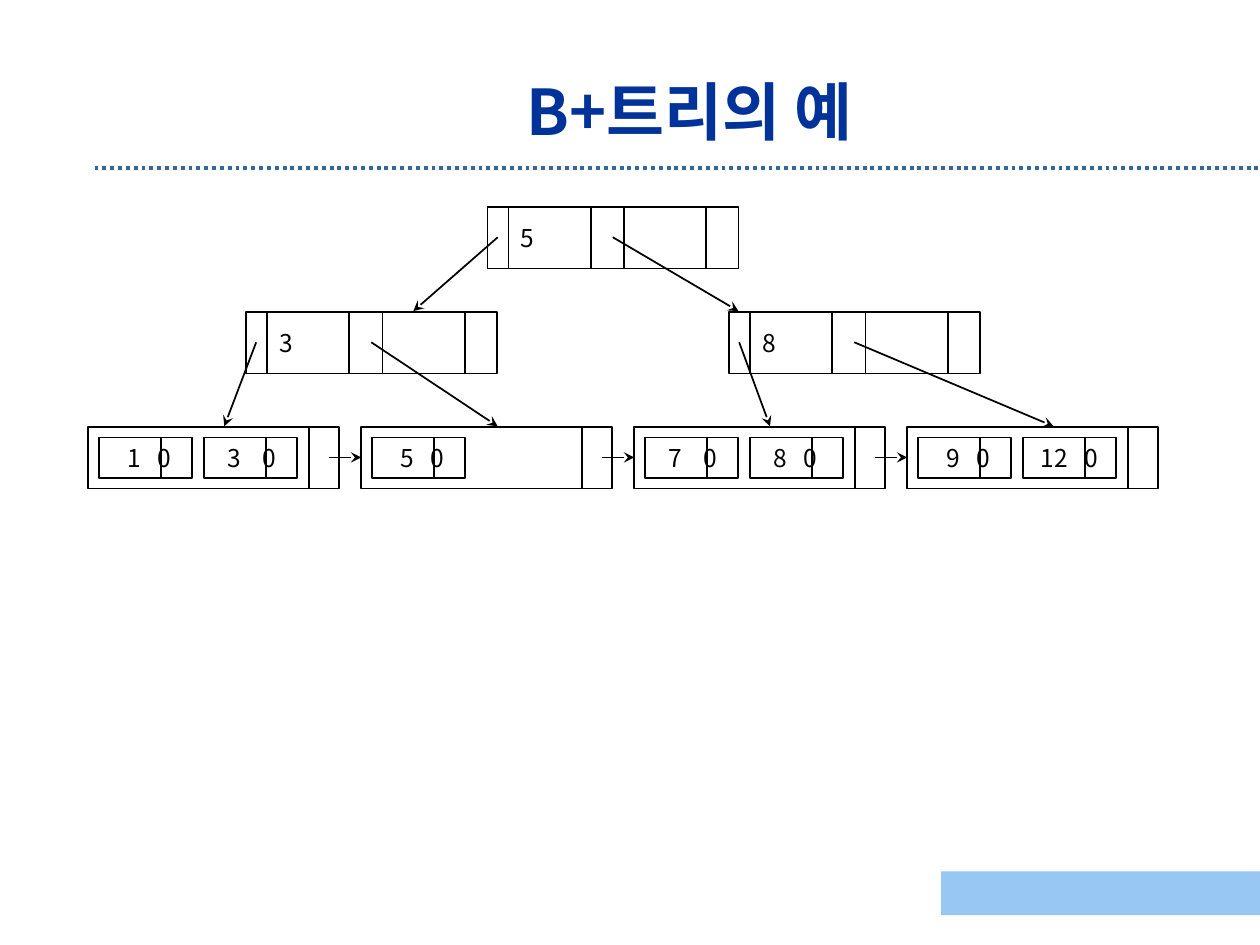
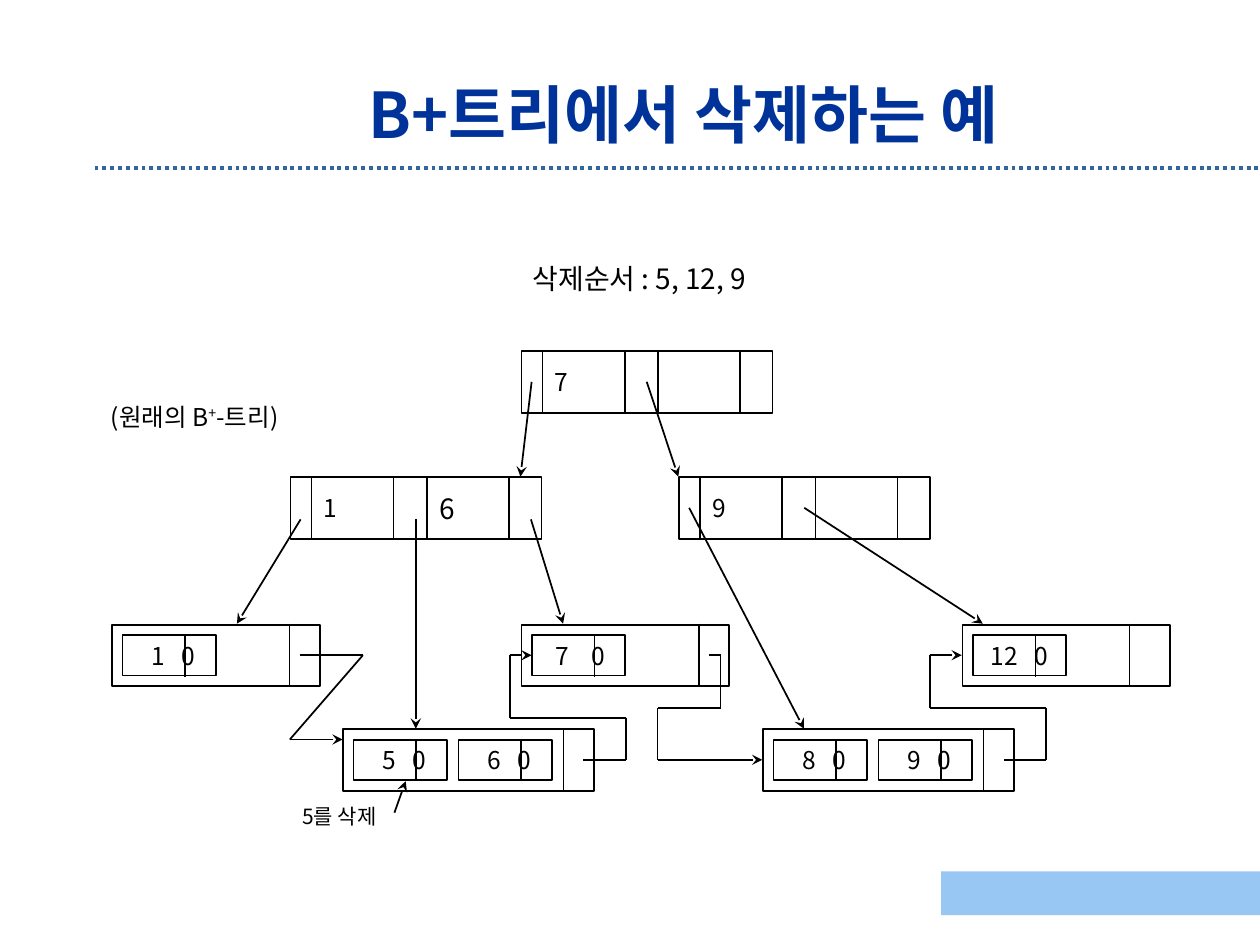
"""Build two slides that show B+ trees and a deletion."""
from dataclasses import dataclass

from lxml import etree
from pptx import Presentation
from pptx.dml.color import RGBColor
from pptx.enum.dml import MSO_LINE
from pptx.enum.shapes import MSO_CONNECTOR, MSO_SHAPE
from pptx.enum.text import MSO_ANCHOR, PP_ALIGN
from pptx.oxml.ns import qn
from pptx.shapes.autoshape import Shape
from pptx.slide import Slide
from pptx.util import Pt

RECT = MSO_SHAPE.RECTANGLE
LINE = MSO_CONNECTOR.STRAIGHT
DOTS = MSO_LINE.ROUND_DOT
LEFT, CENTER = PP_ALIGN.LEFT, PP_ALIGN.CENTER
TOP, MIDDLE = MSO_ANCHOR.TOP, MSO_ANCHOR.MIDDLE

Point = tuple[float, float]
Box = tuple[float, float, float, float]


@dataclass(frozen=True)
class Theme:
    """Colours, font and type sizes of both slides."""

    font: str = "Noto Sans CJK KR"
    ink: str = "000000"
    paper: str = "FFFFFF"
    title: str = "003399"
    rule: str = "336699"
    band: str = "99C7F3"
    head: float = 36
    large: float = 16
    body: float = 14
    small: float = 12


THEME = Theme()
WIDE, TALL = 143.4, 35.2
SHORT = 118.8
DIGIT, SPACE = 7.77, 3.13
PAD = 7.2


@dataclass(frozen=True)
class Node:
    """An index node with two keys and the tips of its arrows."""

    x: float
    y: float
    keys: tuple[str, str]
    tips: tuple[Point, ...]
    drop: float = 17.4
    sizes: tuple[float, float] = (THEME.body, THEME.body)


@dataclass(frozen=True)
class Entry:
    """A leaf entry, with its lead and gap counted in spaces."""

    key: str
    lead: int = 3
    gap: int = 3


@dataclass(frozen=True)
class Leaf:
    """A leaf node with its entries and the width of its pointer."""

    x: float
    y: float
    items: tuple[Entry, ...]
    width: float = WIDE
    tail: float = 17.4


@dataclass(frozen=True)
class Label:
    """A plain text label."""

    text: str
    box: Box
    size: float
    sup: str = ""


def write(shape: Shape, text: str, *, size: float = THEME.body,
          color: str = THEME.ink, bold: bool = False, sup: str = "",
          align: PP_ALIGN = LEFT, anchor: MSO_ANCHOR = MIDDLE,
          pads: Box = (PAD, 3.6, PAD, 3.6), tab: float = 0,
          lead: float = 0) -> None:
    """Put formatted text in a shape."""
    frame = shape.text_frame
    frame.word_wrap = True
    frame.vertical_anchor = anchor
    (frame.margin_left, frame.margin_top,
     frame.margin_right, frame.margin_bottom) = map(Pt, pads)
    para = frame.paragraphs[0]
    para.alignment = align
    if lead:
        para.line_spacing = lead
    if tab:
        stops = etree.SubElement(para._p.get_or_add_pPr(), qn("a:tabLst"))
        etree.SubElement(stops, qn("a:tab"), pos=str(Pt(tab)), algn="l")
    for part in text.partition(sup) if sup else (text,):
        run = para.add_run()
        run.text = part
        font = run.font
        font.name, font.size, font.bold = THEME.font, Pt(size), bold
        font.color.rgb = RGBColor.from_string(color)
        props = run._r.get_or_add_rPr()
        etree.SubElement(props, qn("a:ea"), typeface=THEME.font)
        if sup and part == sup:
            props.set("baseline", "30000")


def draw_box(slide: Slide, box: Box, fill: str = THEME.paper,
             edge: str = THEME.ink) -> Shape:
    """Draw a filled rectangle, with an edge if a colour is given."""
    shape = slide.shapes.add_shape(RECT, *map(Pt, box))
    shape.shadow.inherit = False
    shape.fill.solid()
    shape.fill.fore_color.rgb = RGBColor.from_string(fill)
    if edge:
        shape.line.color.rgb = RGBColor.from_string(edge)
        shape.line.width = Pt(1)
    else:
        shape.line.fill.background()
    return shape


def draw_line(slide: Slide, start: Point, end: Point, *, arrow: bool = False,
              color: str = THEME.ink, width: float = 1,
              dots: bool = False) -> None:
    """Draw a straight line, with an arrowhead at its end if asked."""
    line = slide.shapes.add_connector(LINE, *map(Pt, start + end))
    line.line.color.rgb = RGBColor.from_string(color)
    line.line.width = Pt(width)
    if dots:
        line.line.dash_style = DOTS
    if arrow:
        etree.SubElement(line.line._get_or_add_ln(), qn("a:tailEnd"),
                         type="stealth")
    etree.SubElement(line._element.spPr, qn("a:effectLst"))


def draw_route(slide: Slide, *stops: Point) -> None:
    """Join the stops by lines and end in an arrow."""
    for spot, (start, end) in enumerate(zip(stops, stops[1:]), 2):
        draw_line(slide, start, end, arrow=spot == len(stops))


def draw_text(slide: Slide, text: str, box: Box, **style) -> None:
    """Add a text box."""
    write(slide.shapes.add_textbox(*map(Pt, box)), text, **style)


def draw_node(slide: Slide, node: Node) -> None:
    """Draw an index node and its keys."""
    draw_box(slide, (node.x, node.y, WIDE, TALL))
    for spot, (key, size) in enumerate(zip(node.keys, node.sizes)):
        cell = draw_box(slide, (node.x + 12 + 66 * spot, node.y, 47, TALL))
        if key:
            write(cell, key, size=size)


def draw_leaf(slide: Slide, leaf: Leaf) -> None:
    """Draw a leaf, its entries and its dividers."""
    draw_box(slide, (leaf.x, leaf.y, leaf.width, TALL))
    for spot, item in enumerate(leaf.items):
        x, y = leaf.x + 6 + 60 * spot, leaf.y + 6
        cell = draw_box(slide, (x, y, 53.4, 23))
        inset = PAD + SPACE * item.lead
        write(cell, f"{item.key}\t0", pads=(inset, 3.6, 0, 3.6),
              tab=DIGIT * len(item.key) + SPACE * item.gap)
        draw_line(slide, (x + 35.8, y), (x + 35.8, y + 23.6))
    edge = leaf.x + leaf.width - leaf.tail
    draw_line(slide, (edge, leaf.y - 0.6), (edge, leaf.y + TALL))


def draw_tree(slide: Slide, nodes: list[Node], leaves: list[Leaf]) -> None:
    """Draw all nodes and leaves, then the arrows between them."""
    for node in nodes:
        draw_node(slide, node)
    for leaf in leaves:
        draw_leaf(slide, leaf)
    for node in nodes:
        for spot, tip in enumerate(node.tips):
            start = (node.x + 5.8 + 65.8 * spot, node.y + node.drop)
            draw_line(slide, start, tip, arrow=True)


def add_page(deck: Presentation, title: str, box: Box,
             lead: float = 0) -> Slide:
    """Add a slide with its rule, band and title."""
    slide = deck.slides.add_slide(deck.slide_layouts[6])
    draw_line(slide, (54, 96), (720, 96), color=THEME.rule, width=2.25,
              dots=True)
    draw_box(slide, (537.8, 498, 182.2, 25), THEME.band, "")
    draw_text(slide, title, box, size=THEME.head, color=THEME.title,
              bold=True, align=CENTER, lead=lead)
    return slide


def show_tree(deck: Presentation) -> None:
    """Build the slide with the sample tree."""
    slide = add_page(deck, "B+트리의 예", (163.4, 33.8, 461.5, 45.4), 1.3)
    nodes = [
        Node(278.6, 118.2, ("5", ""), ((236.2, 177.8), (422, 177.8))),
        Node(140.6, 178.2, ("3", ""), ((128.2, 243.6), (284.4, 243.6))),
        Node(416.6, 178.2, ("8", ""), ((440, 243.6), (602, 243.6))),
    ]
    rows = [
        (Entry("1"), Entry("3", 2, 4)),
        (Entry("5"),),
        (Entry("7", 2, 4), Entry("8", 2)),
        (Entry("9"), Entry("12", 1)),
    ]
    leaves = [Leaf(50.4 + 156 * spot, 244, row)
              for spot, row in enumerate(rows)]
    draw_tree(slide, nodes, leaves)
    for leaf, after in zip(leaves, leaves[1:]):
        draw_route(slide, (leaf.x + 137.6, 261.4), (after.x, 261.4))


def show_cut(deck: Presentation) -> None:
    """Build the slide with the tree before the deletion."""
    slide = add_page(deck, "B+트리에서 삭제하는 예", (134.6, 39.6, 512, 50.4))
    high, low = 357, 416.8
    nodes = [
        Node(298, 200.8, ("7", ""), ((297.4, 272.4), (387.6, 272.4))),
        Node(166, 272.8, ("1", "6"),
             ((135.4, 356.4), (237.6, 416.4), (321.8, 356.4)), 24,
             (THEME.body, THEME.large)),
        Node(388, 272.8, ("9", ""), ((459.4, 416.4), (561.6, 356.4))),
    ]
    leaves = [
        Leaf(64, high, (Entry("1"),), SHORT),
        Leaf(196, low, (Entry("5"), Entry("6"))),
        Leaf(298, high, (Entry("7", 2, 4),), SHORT),
        Leaf(436, low, (Entry("8"), Entry("9"))),
        Leaf(550, high, (Entry("12", 1),), SHORT, 23.4),
    ]
    draw_tree(slide, nodes, leaves)
    top, base = 374.4, 434.2
    draw_route(slide, (171.4, top), (207.4, top), (165.6, 422.6),
               (195.8, 422.6))
    for start, turn, mid, back, end, rise, fall in (
        (333.4, 357.8, 410.4, 291.6, 303.8, base, top),
        (405.4, 411.8, 404.6, 375.8, 435.6, top, base),
        (573.8, 597.6, 404.6, 531.4, 549.6, base, top),
    ):
        draw_route(slide, (start, rise), (turn, rise), (turn, mid),
                   (back, mid), (back, fall), (end, fall))
    draw_route(slide, (225.4, 464.4), (231.8, 446.4))
    for label in (
        Label("(원래의 B+-트리)", (56.2, 226, 116.6, 24), THEME.body, "+"),
        Label("삭제순서 : 5, 12, 9", (297.4, 146.2, 145.4, 26.6),
              THEME.large),
        Label("5를 삭제", (165.6, 455.8, 60.5, 21.6), THEME.small),
    ):
        draw_text(slide, label.text, label.box, size=label.size,
                  sup=label.sup, anchor=TOP)


def main() -> None:
    """Build and save the deck."""
    deck = Presentation()
    deck.slide_width, deck.slide_height = Pt(720), Pt(540)
    show_tree(deck)
    show_cut(deck)
    deck.save("out.pptx")


if __name__ == "__main__":
    main()
